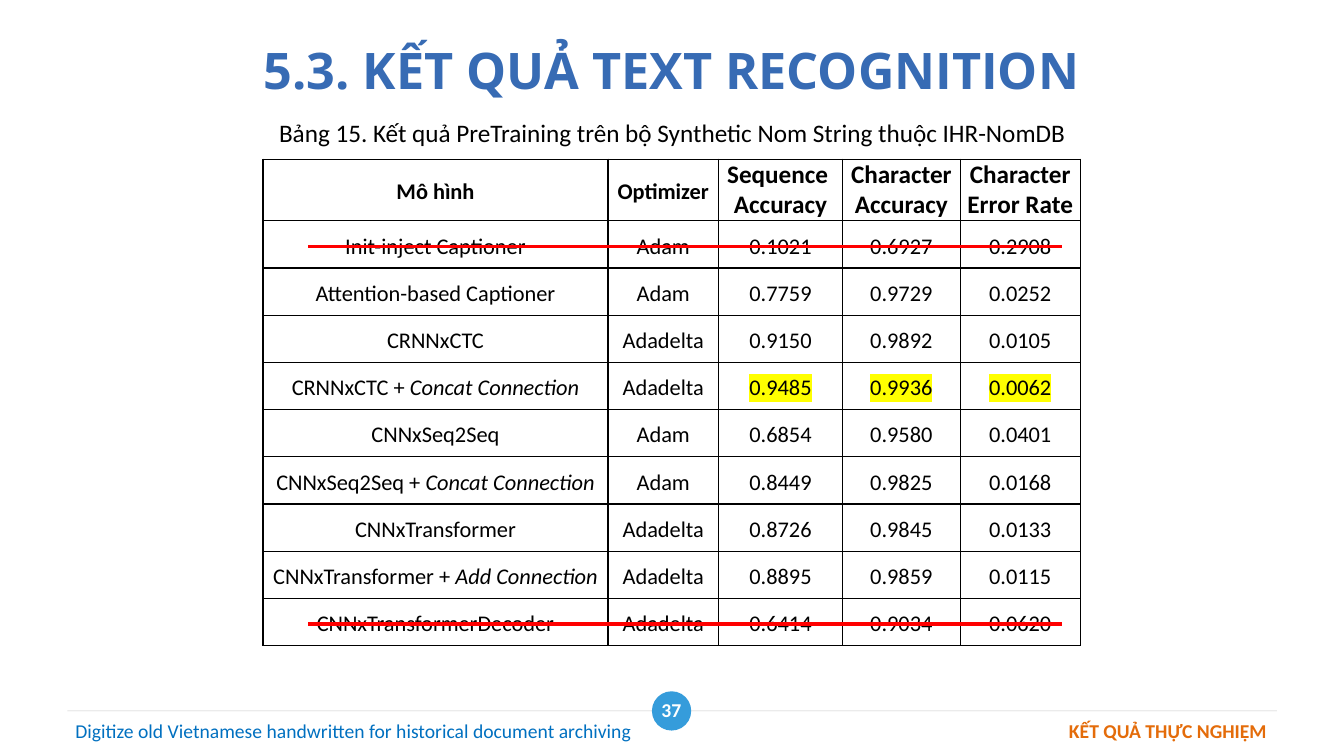
from dataclasses import dataclass
from typing import Any

from lxml import etree
from pptx import Presentation
from pptx import util as u
from pptx.dml.color import RGBColor
from pptx.enum import shapes, text
from pptx.oxml import ns


@dataclass(frozen=True)
class Theme:
    body_font: str = "Calibri"
    title_font: str = "Open Sans"
    title_size: int = 36
    caption_size: int = 18
    cell_size: int = 16
    footer_size: int = 14
    title: str = "376BB4"
    ink: str = "000000"
    strike: str = "FF0000"
    rule: str = "D9D9D9"
    badge: str = "359CDB"
    badge_text: str = "FFFFFF"
    project: str = "0070C0"
    section: str = "E46C0A"
    highlight: str = "FFFF00"


THEME = Theme()
CENTER = text.PP_ALIGN.CENTER


@dataclass(frozen=True)
class Style:
    size: int
    color: str = THEME.ink
    bold: bool = False
    font: str = THEME.body_font
    align: Any = CENTER


@dataclass(frozen=True)
class Label:
    words: str
    left: float
    top: float
    width: float
    height: float
    style: Style


@dataclass(frozen=True)
class Rule:
    left: float
    right: float
    y: float
    color: str
    weight: float
    opacity: int = 100


@dataclass(frozen=True)
class Result:
    model: str
    optimizer: str
    scores: tuple[str, str, str]
    best: bool = False
    struck: bool = False


RESULTS = [
    Result("Init-inject Captioner", "Adam", ("0.1021", "0.6927", "0.2908"), struck=True),
    Result("Attention-based Captioner", "Adam", ("0.7759", "0.9729", "0.0252")),
    Result("CRNNxCTC", "Adadelta", ("0.9150", "0.9892", "0.0105")),
    Result("CRNNxCTC + Concat Connection", "Adadelta", ("0.9485", "0.9936", "0.0062"), best=True),
    Result("CNNxSeq2Seq", "Adam", ("0.6854", "0.9580", "0.0401")),
    Result("CNNxSeq2Seq + Concat Connection", "Adam", ("0.8449", "0.9825", "0.0168")),
    Result("CNNxTransformer", "Adadelta", ("0.8726", "0.9845", "0.0133")),
    Result("CNNxTransformer + Add Connection", "Adadelta", ("0.8895", "0.9859", "0.0115")),
    Result("CNNxTransformerDecoder", "Adadelta", ("0.6414", "0.9034", "0.0620"), struck=True),
]
HEADINGS = ["Mô hình", "Optimizer", "Sequence \nAccuracy", "Character\nAccuracy", "Character\nError Rate"]
COLUMNS = [8.69, 2.79, 3.12, 2.97, 3.02]
TABLE_LEFT, TABLE_TOP = 6.63, 4.01
HEADER_HEIGHT, ROW_HEIGHT = 1.55, 1.19

TITLE = Label("5.3. KẾT QUẢ TEXT RECOGNITION", 4.39, 0.76, 25.07, 1.98,
              Style(THEME.title_size, THEME.title, True, THEME.title_font))
LABELS = [
    Label("Bảng 15. Kết quả PreTraining trên bộ Synthetic Nom String thuộc IHR-NomDB",
          6.53, 2.84, 20.83, 1.02, Style(THEME.caption_size)),
    Label("37", 16.21, 17.35, 1.42, 1.07, Style(THEME.footer_size, THEME.badge_text, True)),
    Label("KẾT QUẢ THỰC NGHIỆM", 17.65, 17.98, 14.53, 0.86,
          Style(THEME.footer_size, THEME.section, True, align=text.PP_ALIGN.RIGHT)),
    Label("Digitize old Vietnamese handwritten for historical document archiving",
          1.65, 17.98, 15.06, 0.86, Style(THEME.footer_size, THEME.project, align=text.PP_ALIGN.LEFT)),
]


def set_all(target: Any, values: dict[str, Any]) -> None:
    for key, value in values.items():
        setattr(target, key, value)


def add_run(paragraph: Any, words: str, style: Style, italic: bool = False, marked: bool = False) -> None:
    run = paragraph.add_run()
    run.text = words
    set_all(run.font, {"name": style.font, "size": u.Pt(style.size), "bold": style.bold, "italic": italic})
    run.font.color.rgb = RGBColor.from_string(style.color)
    if marked:
        highlight = etree.Element(ns.qn("a:highlight"))
        etree.SubElement(highlight, ns.qn("a:srgbClr"), val=THEME.highlight)
        run.font._element.find(ns.qn("a:solidFill")).addnext(highlight)


def fill_label(shape: Any, label: Label) -> None:
    set_all(shape, {"left": u.Cm(label.left), "top": u.Cm(label.top),
                    "width": u.Cm(label.width), "height": u.Cm(label.height)})
    set_all(shape.text_frame, {"word_wrap": True, "auto_size": text.MSO_AUTO_SIZE.NONE,
                               "vertical_anchor": text.MSO_ANCHOR.MIDDLE})
    paragraph = shape.text_frame.paragraphs[0]
    paragraph.alignment = label.style.align
    add_run(paragraph, label.words, label.style)


def draw_rule(slide: Any, rule: Rule) -> None:
    line = slide.shapes.add_connector(shapes.MSO_CONNECTOR.STRAIGHT, u.Cm(rule.left), u.Cm(rule.y),
                                      u.Cm(rule.right), u.Cm(rule.y))
    line.line.color.rgb = RGBColor.from_string(rule.color)
    line.line.width = u.Pt(rule.weight)
    etree.SubElement(line._element.spPr, ns.qn("a:effectLst"))
    if rule.opacity < 100:
        color = line._element.spPr.find(".//" + ns.qn("a:srgbClr"))
        etree.SubElement(color, ns.qn("a:alpha"), val=str(rule.opacity * 1000))


def border_cell(cell: Any) -> None:
    cell.fill.background()
    properties = cell._tc.get_or_add_tcPr()
    for position, side in enumerate(("lnL", "lnR", "lnT", "lnB")):
        edge = etree.Element(ns.qn("a:" + side), w=str(u.Pt(1)))
        fill = etree.SubElement(edge, ns.qn("a:solidFill"))
        etree.SubElement(fill, ns.qn("a:srgbClr"), val=THEME.ink)
        properties.insert(position, edge)


def fill_cell(cell: Any, words: str, style: Style, marked: bool = False) -> None:
    inset = u.Cm(0.15 if "\n" in words else 0.18)
    set_all(cell, {"vertical_anchor": text.MSO_ANCHOR.MIDDLE, "margin_left": inset,
                   "margin_right": inset, "margin_top": 0, "margin_bottom": 0})
    border_cell(cell)
    lines = words.split("\n")
    for index, line in enumerate(lines):
        paragraph = cell.text_frame.add_paragraph() if index else cell.text_frame.paragraphs[0]
        set_all(paragraph, {"alignment": CENTER, "line_spacing": 1.0 if len(lines) > 1 else 1.15})
        base, plus, extra = line.partition(" + ")
        add_run(paragraph, base + plus, style, marked=marked)
        if extra:
            add_run(paragraph, extra, style, italic=True)


def draw_results(slide: Any) -> None:
    table = slide.shapes.add_table(
        len(RESULTS) + 1, len(COLUMNS), u.Cm(TABLE_LEFT), u.Cm(TABLE_TOP), u.Cm(sum(COLUMNS)),
        u.Cm(HEADER_HEIGHT + ROW_HEIGHT * len(RESULTS))).table
    set_all(table, {"first_row": False, "horz_banding": False})
    for column, width in zip(table.columns, COLUMNS):
        column.width = u.Cm(width)
    for index, row in enumerate(table.rows):
        row.height = u.Cm(ROW_HEIGHT if index else HEADER_HEIGHT)
    for column, heading in enumerate(HEADINGS):
        size = THEME.caption_size if "\n" in heading else THEME.cell_size
        fill_cell(table.cell(0, column), heading, Style(size, bold=True))
    for index, result in enumerate(RESULTS):
        for column, words in enumerate((result.model, result.optimizer, *result.scores)):
            fill_cell(table.cell(index + 1, column), words, Style(THEME.cell_size), result.best and column > 1)
        if result.struck:
            middle = TABLE_TOP + HEADER_HEIGHT + ROW_HEIGHT * (index + 0.5) + 0.05
            draw_rule(slide, Rule(7.77, 26.77, middle, THEME.strike, 2.25))


def main() -> None:
    deck = Presentation()
    set_all(deck, {"slide_width": u.Cm(33.87), "slide_height": u.Cm(19.05)})
    slide = deck.slides.add_slide(deck.slide_layouts[5])
    fill_label(slide.shapes.title, TITLE)
    draw_rule(slide, Rule(1.7, 32.18, 17.91, THEME.rule, 0.75, 50))
    badge = slide.shapes.add_shape(shapes.MSO_SHAPE.OVAL, u.Cm(16.43), u.Cm(17.42), u.Cm(0.99), u.Cm(0.99))
    badge.shadow.inherit = False
    badge.fill.solid()
    badge.fill.fore_color.rgb = RGBColor.from_string(THEME.badge)
    badge.line.fill.background()
    for label in LABELS:
        fill_label(slide.shapes.add_textbox(0, 0, 0, 0), label)
    draw_results(slide)
    deck.save("out.pptx")


if __name__ == "__main__":
    main()
